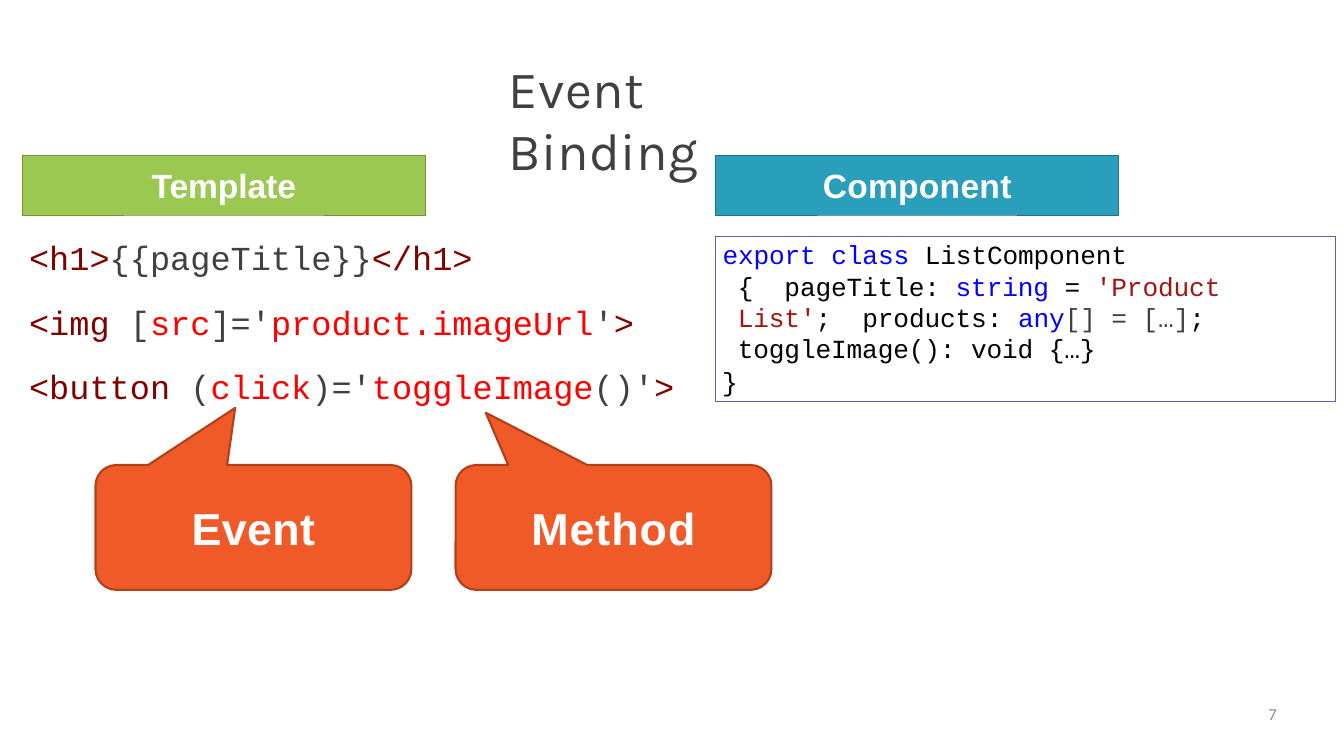
from pptx import Presentation
from pptx.dml.color import RGBColor
from pptx.enum.shapes import MSO_SHAPE
from pptx.enum.text import MSO_ANCHOR, MSO_AUTO_SIZE, PP_ALIGN
from pptx.util import Cm, Pt

MARKUP_FONT = "Courier New"
TAG, GREY, RED = "800000", "404040", "FF0000"
BLACK, BLUE, STRING, WHITE = "000000", "0000FF", "A31515", "FFFFFF"

TEMPLATE_LINES = [
    [("<h1>", TAG), ("{{pageTitle}}", GREY), ("</h1>", TAG)],
    [("<img ", TAG), ("[", GREY), ("src", RED), ("]='", GREY),
     ("product.imageUrl", RED), ("'", GREY), (">", TAG)],
    [("<button ", TAG), ("(", GREY), ("click", RED), (")='", GREY),
     ("toggleImage", RED), ("()'", GREY), (">", TAG)],
]
CLASS_LINES = [
    [("export class ", BLUE), ("ListComponent {\u00a0\u00a0pageTitle: ", BLACK),
     ("string ", BLUE), ("= ", BLACK), ("'Product List'", STRING),
     (";\u00a0\u00a0products: ", BLACK), ("any", BLUE), ("[] = […]", GREY), (";", BLACK)],
    [("toggleImage(): void {…}", BLACK)],
    [("}", BLACK)],
]


def color(value):
    """Turn a hex string into a colour."""
    return RGBColor.from_string(value)


def prepare_frame(box, anchor=MSO_ANCHOR.TOP, top=0):
    """Set wrapping, anchor and margins, and return the text frame."""
    frame = box.text_frame
    frame.word_wrap = True
    frame.auto_size = MSO_AUTO_SIZE.NONE
    frame.vertical_anchor = anchor
    frame.margin_left = frame.margin_right = frame.margin_bottom = 0
    frame.margin_top = Cm(top)
    return frame


def add_span(para, text, size=18, font="Arial", fill=BLACK, bold=False, spacing=0):
    """Append formatted text to a paragraph."""
    span = para.add_run()
    span.text = text
    span.font.size = Pt(size)
    span.font.name = font
    span.font.bold = bold
    span.font.color.rgb = color(fill)
    if spacing:
        span._r.get_or_add_rPr().set("spc", str(round(spacing * 100)))


def format_para(para, align=PP_ALIGN.LEFT, before=0, left=0, indent=0):
    """Set alignment, space before and indents of a paragraph."""
    para.alignment = align
    para.space_before = Pt(before)
    properties = para._p.get_or_add_pPr()
    properties.set("marL", str(Cm(left)))
    properties.set("indent", str(Cm(indent)))


def add_code(frame, lines, formats, **style):
    """Write coloured code, one paragraph for each line."""
    for number, (line, layout) in enumerate(zip(lines, formats)):
        para = frame.add_paragraph() if number else frame.paragraphs[0]
        format_para(para, **layout)
        for text, fill in line:
            add_span(para, text, font=MARKUP_FONT, fill=fill, **style)


def add_panel(page, kind, left, top, width, height, fill=None, line=BLACK, weight=1):
    """Add a preset shape with an outline and an optional fill."""
    shape = page.shapes.add_shape(kind, Cm(left), Cm(top), Cm(width), Cm(height))
    shape.shadow.inherit = False
    if fill:
        shape.fill.solid()
        shape.fill.fore_color.rgb = color(fill)
    else:
        shape.fill.background()
    shape.line.color.rgb = color(line)
    shape.line.width = Pt(weight)
    return shape


def add_label(shape, text, **style):
    """Centre a bold white label in a shape."""
    para = prepare_frame(shape, MSO_ANCHOR.MIDDLE).paragraphs[0]
    format_para(para, PP_ALIGN.CENTER)
    add_span(para, text, fill=WHITE, bold=True, **style)


def add_header(page, text, left, fill, line, spacing):
    """Add a column header."""
    shape = add_panel(page, MSO_SHAPE.RECTANGLE, left, 5.89, 15.24, 2.24, fill, line)
    add_label(shape, text, size=36, spacing=spacing)


def add_callout(page, text, left, tip_left, tip_top, spacing):
    """Add a rounded callout whose tip points at the code."""
    top, width, height = 17.58, 11.94, 4.72
    shape = add_panel(page, MSO_SHAPE.ROUNDED_RECTANGULAR_CALLOUT,
                      left, top, width, height, "F05A28", "B0401A", 2.25)
    shape.adjustments[0] = (tip_left - left) / width - 0.5
    shape.adjustments[1] = (tip_top - top) / height - 0.5
    add_label(shape, text, size=48, spacing=spacing)


def add_text_box(page, left, top, width, height):
    """Add a text box and return its frame."""
    box = page.shapes.add_textbox(Cm(left), Cm(top), Cm(width), Cm(height))
    return prepare_frame(box, top=0.03)


def set_title(page, text):
    """Place and format the title."""
    title = page.shapes.title
    title.left, title.top, title.width, title.height = Cm(19.2), Cm(2.08), Cm(12.4), Cm(2.44)
    para = prepare_frame(title, top=0.03).paragraphs[0]
    format_para(para, before=1, left=0.03)
    add_span(para, text, size=56, font="Karla", fill=GREY, spacing=0.4)


def main():
    """Build the slide and save it."""
    deck = Presentation()
    deck.slide_width, deck.slide_height = Cm(50.8), Cm(28.58)
    page = deck.slides.add_slide(deck.slide_layouts[5])
    set_title(page, "Event Binding")

    markup = add_text_box(page, 1.07, 8.94, 24.49, 6.48)
    add_code(markup, TEMPLATE_LINES,
             [{"before": before, "left": 0.03} for before in (1, 25.9, 25.9)], size=36)

    add_header(page, "Template", 0.84, "9BC850", "719238", -0.1)
    add_header(page, "Component", 27.05, "2A9FBC", "1C7489", 0.3)

    panel = add_panel(page, MSO_SHAPE.RECTANGLE, 27.05, 8.92, 23.42, 6.25,
                      line="675BA7", weight=0.75)
    add_code(prepare_frame(panel, top=0.1), CLASS_LINES,
             [{"before": 2.7, "left": 0.84, "indent": -0.58},
              {"left": 0.84}, {"before": 1.5, "left": 0.25}], size=28, spacing=-0.1)

    add_callout(page, "Event", 3.61, 8.89, 15.42, 0.4)
    add_callout(page, "Method", 17.22, 18.36, 15.6, 1.1)

    number = add_text_box(page, 36.58, 26.57, 11.68, 1.42).paragraphs[0]
    format_para(number, PP_ALIGN.RIGHT)
    add_span(number, "7", size=18, font="Calibri", fill="8C8C8C")
    deck.save("out.pptx")


main()
